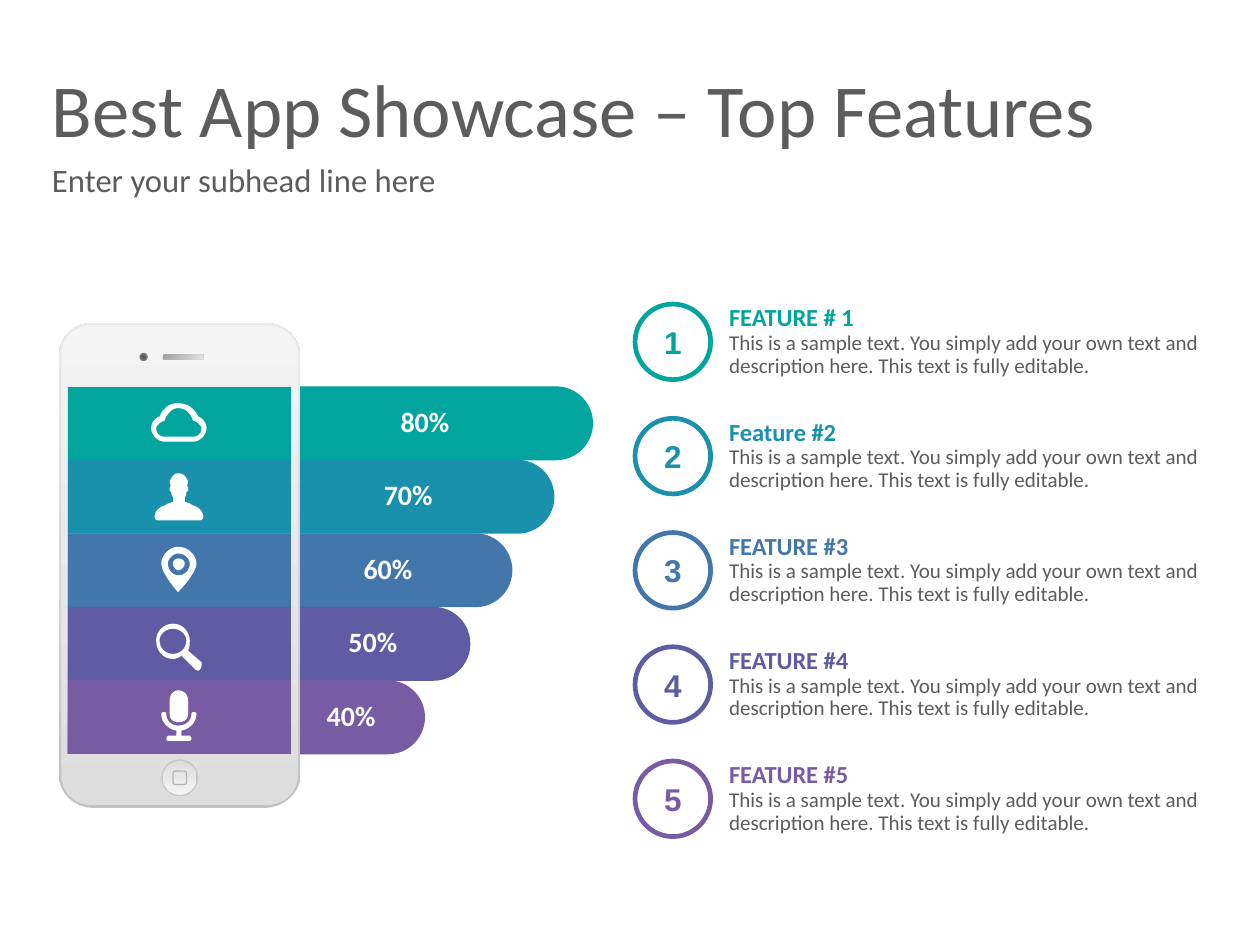
from dataclasses import dataclass

from pptx import Presentation
from pptx.dml.color import RGBColor
from pptx.enum.shapes import MSO_SHAPE
from pptx.enum.text import MSO_ANCHOR, PP_ALIGN
from pptx.util import Inches, Pt

OVAL = MSO_SHAPE.OVAL
ROUNDED = MSO_SHAPE.ROUNDED_RECTANGLE
ROUND_TOP = MSO_SHAPE.ROUND_2_SAME_RECTANGLE
MIDDLE, TOP = MSO_ANCHOR.MIDDLE, MSO_ANCHOR.TOP
LEFT, CENTER = PP_ALIGN.LEFT, PP_ALIGN.CENTER


@dataclass(frozen=True)
class Theme:
    """Colours, fonts and type sizes of the slide."""
    font: str = "Calibri"
    number_font: str = "Arial"
    ink: str = "5C5C5C"
    white: str = "FFFFFF"
    rim: tuple = ("C1C1C1", "EBEBEB")
    face: tuple = ("DDDDDD", "F4F4F4")
    speaker: tuple = ("A0A0A0", "E3E3E3")
    lens: str = "7C7979"
    button_rim: str = "C6C6C6"
    button_mark: str = "B3B3B3"
    title: float = 32
    subhead: float = 14
    share: float = 12
    number: float = 13.5
    heading: float = 10.5
    body: float = 9


@dataclass(frozen=True)
class Feature:
    """One feature: its heading, bar and icon outline in hundredths of an inch."""
    heading: str
    color: str
    share: str
    bar_length: float
    share_center: float
    icon: str


THEME = Theme()
SLIDE_WIDTH = 7.5
SLIDE_HEIGHT = SLIDE_WIDTH * 3 / 4
BAR_HEIGHT = 0.44
BAR_STEP = 1.75 / 4
FEATURE_STEP = 0.68
DESCRIPTION = ("This is a sample text. You simply add your own text and "
               "description here. This text is fully editable.")

CLOUD = (
    "M 75 32 L 58 32 C 54 32 50 28 50 24 C 50 21 52 18 55 17 C 57 12 61 9 66 9 "
    "C 71 9 76 12 78 17 C 81 18 83 21 83 24 C 83 28 79 32 75 32 "
    "M 78 21 C 77 20 76 20 75 19.5 L 74 17 C 72 14 70 12 66 12 C 63 12 61 14 59 17 "
    "L 58 19.5 C 57 20 56 20 55 21 C 54 22 53 23 53 24 C 53 27 55 29 58 29 "
    "L 75 29 C 78 29 80 27 80 24 C 80 23 79 22 78 21")
PERSON = (
    "M 81 33 C 81 34 80 35 79 35 L 54 35 C 53 35 52 34 52 33 C 52 33 52 29 56 27 "
    "C 58 26 57 27 60 25 L 63 24 L 63 21 C 63 21 62 21 62 18 C 61 18 61 17 61 17 "
    "C 61 16 61 14 62 15 C 61 13 61 12 61 12 C 62 10 63 7 66 7 C 70 7 71 10 72 12 "
    "C 72 12 72 13 71 15 C 72 14 72 16 72 17 C 72 17 72 18 71 18 C 71 21 70 21 70 21 "
    "L 70 24 L 73 25 C 76 27 75 26 77 27 C 81 29 81 33 81 33")
PIN = (
    "M 66 34 C 66 34 56 23 56 17 C 56 12 61 7 66 7 C 72 7 77 12 77 17 C 77 23 66 34 66 34 "
    "M 66 11 C 63 11 60 14 60 17 C 60 21 63 24 66 24 C 70 24 73 21 73 17 C 73 14 70 11 66 11 "
    "M 66 21 C 65 21 63 19 63 17 C 63 15 65 14 66 14 C 68 14 70 15 70 17 C 70 19 68 21 66 21")
MAGNIFIER = (
    "M 80 32 C 80 33 80 33 80 34 C 80 35 79 37 78 37 C 77 37 76 36 76 36 L 68 28 "
    "C 67 29 65 30 63 30 C 57 30 53 25 53 19 C 53 14 57 9 63 9 C 69 9 73 14 73 19 "
    "C 73 21 73 23 72 25 "
    "M 63 12 C 59 12 55 15 55 19 C 55 24 59 27 63 27 C 67 27 71 24 71 19 C 71 15 67 12 63 12")
MICROPHONE = (
    "M 77 19 C 77 24 73 28 68 29 L 68 32 L 73 32 C 73 32 74 33 74 34 C 74 35 73 35 73 35 "
    "L 60 35 C 60 35 59 35 59 34 C 59 33 60 32 60 32 L 65 32 L 65 29 C 60 28 56 24 56 19 "
    "C 56 18 57 18 58 18 C 58 18 59 18 59 19 C 59 23 62 26 66 26 C 71 26 74 23 74 19 "
    "C 74 18 75 18 75 18 C 76 18 77 18 77 19 "
    "M 66 24 C 63 24 61 22 61 19 L 61 11 C 61 8 63 5 66 5 C 70 5 72 8 72 11 "
    "L 72 19 C 72 22 70 24 66 24")

FEATURES = [
    Feature("FEATURE # 1", "01A59E", "80%", 3.13, 2.53, CLOUD),
    Feature("Feature #2", "1991AC", "70%", 2.9, 2.43, PERSON),
    Feature("FEATURE #3", "4376AB", "60%", 2.65, 2.31, PIN),
    Feature("FEATURE #4", "5F5CA3", "50%", 2.4, 2.22, MAGNIFIER),
    Feature("FEATURE #5", "785CA3", "40%", 2.13, 2.09, MICROPHONE),
]


def paint(shape, fill=None, angle=90, line=None, weight=2):
    """Give a shape a plain, two-colour or empty fill and an optional outline."""
    shape.shadow.inherit = False
    if fill is None:
        shape.fill.background()
    elif isinstance(fill, tuple):
        shape.fill.gradient()
        shape.fill.gradient_angle = angle
        for stop, color in zip(shape.fill.gradient_stops, fill):
            stop.color.rgb = RGBColor.from_string(color)
    else:
        shape.fill.solid()
        shape.fill.fore_color.rgb = RGBColor.from_string(fill)
    if line:
        shape.line.color.rgb = RGBColor.from_string(line)
        shape.line.width = Pt(weight)
    else:
        shape.line.fill.background()


def add_preset(slide, kind, left, top, width, height, **look):
    """Add a painted preset shape."""
    shape = slide.shapes.add_shape(
        kind, Inches(left), Inches(top), Inches(width), Inches(height))
    paint(shape, **look)
    return shape


def trace(outline):
    """Turn an outline into contours of points, with curves cut into short lines."""
    contours = []
    for step in outline.replace("M", "|M").replace("L", "|L").replace("C", "|C").split("|")[1:]:
        command, *numbers = step.split()
        values = [float(number) / 100 for number in numbers]
        points = list(zip(values[::2], values[1::2]))
        if command == "M":
            contours.append(points)
        elif command == "L":
            contours[-1] += points
        else:
            curve = [contours[-1][-1], *points]
            for t in (n / 8 for n in range(1, 9)):
                weights = ((1 - t) ** 3, 3 * t * (1 - t) ** 2, 3 * t * t * (1 - t), t ** 3)
                contours[-1].append(tuple(
                    sum(w * p[axis] for w, p in zip(weights, curve)) for axis in (0, 1)))
    return contours


def add_outline(slide, outline, left, top, **look):
    """Draw an outline, with its holes, from the given corner."""
    contours = [[(Inches(x), Inches(y)) for x, y in c] for c in trace(outline)]
    builder = slide.shapes.build_freeform(*contours[0][0])
    for index, (start, *rest) in enumerate(contours):
        if index:
            builder.move_to(*start)
        builder.add_line_segments(rest, close=True)
    paint(builder.convert_to_shape(Inches(left), Inches(top)), **look)


def write(shape, runs, anchor=MIDDLE, align=LEFT, spacing=None, wrap=True):
    """Fill a shape with one paragraph of (text, size, color, bold, font) lines."""
    frame = shape.text_frame
    frame.word_wrap = wrap
    frame.vertical_anchor = anchor
    frame.margin_left = frame.margin_right = frame.margin_top = frame.margin_bottom = 0
    paragraph = frame.paragraphs[0]
    paragraph.alignment = align
    if spacing:
        paragraph.line_spacing = spacing
    for index, (text, size, color, bold, font) in enumerate(runs):
        if index:
            paragraph.add_line_break()
        run = paragraph.add_run()
        run.text = text
        run.font.size, run.font.bold, run.font.name = Pt(size), bold, font
        run.font.color.rgb = RGBColor.from_string(color)


def add_text(slide, left, top, width, height, runs, **layout):
    """Add a text box."""
    write(slide.shapes.add_textbox(
        Inches(left), Inches(top), Inches(width), Inches(height)), runs, **layout)


def add_header(slide, left, top, width):
    """Place the title and the subhead below it."""
    add_text(slide, left, top, width, 0.54,
             [("Best App Showcase – Top Features", THEME.title, THEME.ink, False, THEME.font)])
    add_text(slide, left, top + 0.6, width, 0.19,
             [("Enter your subhead line here", THEME.subhead, THEME.ink, False, THEME.font)],
             wrap=False)


def add_bars(slide, left, top):
    """Stack the bars, which end in a half circle on the right."""
    for row, feature in enumerate(FEATURES):
        overhang = (feature.bar_length - BAR_HEIGHT) / 2
        bar = add_preset(slide, ROUND_TOP, left + overhang, top + row * BAR_STEP - overhang,
                         BAR_HEIGHT, feature.bar_length, fill=feature.color)
        bar.adjustments[0], bar.adjustments[1] = 0.5, 0
        bar.rotation = 90


def casing(inset):
    """Outline the phone body, with a hole for the screen."""
    near, right, bottom = inset, 144 - inset, 289 - inset
    return (f"M 138.5 38 L 5 38 L 5 257 L 138.5 257 M 21 {near} L 122 {near} "
            f"C 134 {near} {right} 9 {right} 20 L {right} 269 "
            f"C {right} 280 134 {bottom} 122 {bottom} L 21 {bottom} "
            f"C 9 {bottom} {near} 280 {near} 269 L {near} 20 C {near} 9 9 {near} 21 {near}")


def add_phone(slide, left, top):
    """Draw the phone body, camera, speaker and home button."""
    add_outline(slide, casing(0), left, top, fill=THEME.rim)
    add_outline(slide, casing(1.5), left, top, fill=THEME.face)
    add_preset(slide, OVAL, left + 0.48, top + 0.18, 0.05, 0.05, fill=THEME.lens)
    add_preset(slide, OVAL, left + 0.49, top + 0.19, 0.03, 0.03, fill=THEME.ink)
    add_preset(slide, ROUNDED, left + 0.62, top + 0.19, 0.24, 0.03,
               fill=THEME.speaker, angle=315)
    add_preset(slide, OVAL, left + 0.61, top + 2.6, 0.22, 0.22, fill=THEME.button_rim)
    add_preset(slide, OVAL, left + 0.62, top + 2.61, 0.2, 0.2, fill=THEME.face, angle=270)
    add_preset(slide, ROUNDED, left + 0.68, top + 2.67, 0.08, 0.08,
               line=THEME.button_mark, weight=0.5)


def add_bar_labels(slide, left, top):
    """Put an icon and a share on each bar."""
    for row, feature in enumerate(FEATURES):
        row_top = top + row * BAR_STEP
        add_outline(slide, feature.icon, left, row_top, fill=THEME.white)
        add_text(slide, left + feature.share_center - 0.7, row_top + 0.12, 0.6, 0.18,
                 [(feature.share, THEME.share, THEME.white, True, THEME.font)],
                 align=CENTER, spacing=0.9)


def add_feature_list(slide, left, top):
    """List the features beside their numbered rings."""
    for row, feature in enumerate(FEATURES):
        row_top = top + row * FEATURE_STEP
        ring = add_preset(slide, OVAL, left, row_top, 0.45, 0.45, line=feature.color)
        write(ring, [(str(row + 1), THEME.number, feature.color, True, THEME.number_font)],
              align=CENTER)
        add_text(slide, left + 0.56, row_top + 0.01, 2.84, 0.43,
                 [(feature.heading, THEME.heading, feature.color, True, THEME.font),
                  (DESCRIPTION, THEME.body, THEME.ink, False, THEME.font)],
                 anchor=TOP, spacing=0.9)


def main():
    """Build and save the slide."""
    deck = Presentation()
    deck.slide_width, deck.slide_height = Inches(SLIDE_WIDTH), Inches(SLIDE_HEIGHT)
    slide = deck.slides.add_slide(deck.slide_layouts[6])
    add_bars(slide, 0.4, 2.3)
    add_header(slide, 0.31, 0.37, 6.86)
    add_phone(slide, 0.35, 1.92)
    add_bar_labels(slide, 0.4, 2.31)
    add_feature_list(slide, 3.78, 1.81)
    deck.save("out.pptx")


if __name__ == "__main__":
    main()
